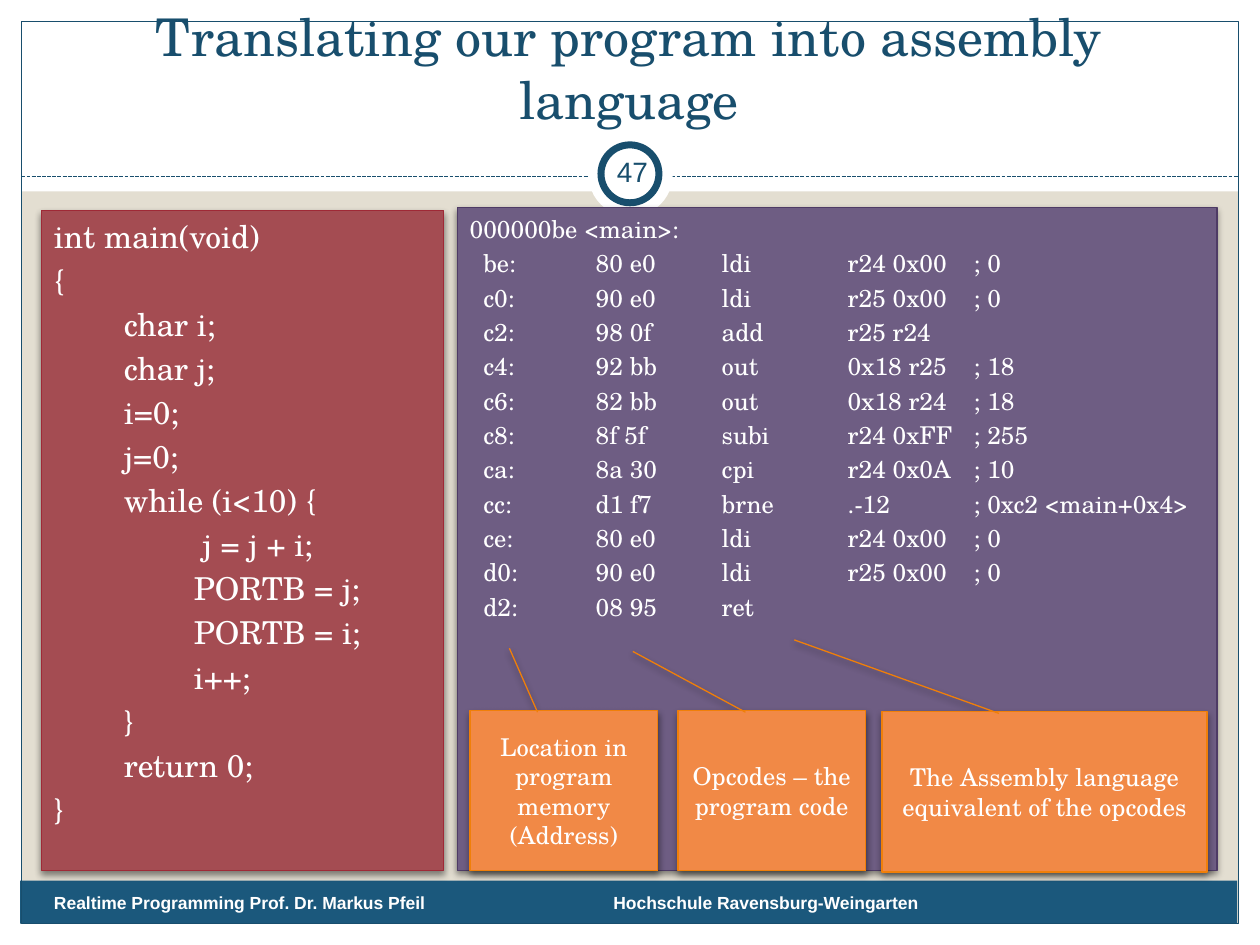
import dataclasses
import lxml.etree
import pptx
import pptx.dml.color
import pptx.enum.dml
import pptx.enum.shapes
import pptx.enum.text
import pptx.oxml.ns
import pptx.util

Inches = pptx.util.Inches
Shape = pptx.enum.shapes.MSO_SHAPE
Align = pptx.enum.text.PP_ALIGN
Anchor = pptx.enum.text.MSO_ANCHOR
qn = pptx.oxml.ns.qn


@dataclasses.dataclass(frozen=True)
class Theme:
    serif: str = "TeX Gyre Schola"
    sans: str = "Arial"
    paper: str = "E3DED1"
    white: str = "FFFFFF"
    navy: str = "184E6D"
    bar: str = "1B587C"
    red: str = "A44C52"
    rim: str = "9F2936"
    plum: str = "6E5D83"
    edge: str = "4E3B65"
    orange: str = "F18946"
    flame: str = "F07F09"
    title: float = 29.7
    code: float = 18
    num: float = 16
    small: float = 14
    foot: float = 10


def rgb(code):
    return pptx.dml.color.RGBColor.from_string(code)


@dataclasses.dataclass
class Deck:
    theme: Theme
    slide: object

    def shape(self, kind, box, fill=None, line=None, width=0.75, shade=False):
        item = self.slide.shapes.add_shape(kind, *map(Inches, box))
        item.shadow.inherit = False
        if fill:
            item.fill.solid()
            item.fill.fore_color.rgb = rgb(fill)
        else:
            item.fill.background()
        if line:
            item.line.color.rgb = rgb(line)
            item.line.width = pptx.util.Pt(width)
        else:
            item.line.fill.background()
        if shade:
            self.shade(item)
        return item

    def shade(self, item):
        make = lxml.etree.SubElement
        pt = pptx.util.Pt
        cast = make(item.element.spPr.find(qn("a:effectLst")), qn("a:outerShdw"),
                    blurRad=str(pt(4)), dist=str(pt(2)), dir="5400000",
                    rotWithShape="0")
        tone = make(cast, qn("a:srgbClr"), val="000000")
        make(tone, qn("a:alpha"), val="45000")

    def dash(self, start, end):
        line = self.slide.shapes.add_connector(
            pptx.enum.shapes.MSO_CONNECTOR.STRAIGHT,
            *map(Inches, start + end))
        line.line.color.rgb = rgb(self.theme.navy)
        line.line.width = pptx.util.Pt(0.75)
        line.line.dash_style = pptx.enum.dml.MSO_LINE.SQUARE_DOT
        lxml.etree.SubElement(line.element.spPr, qn("a:effectLst"))

    def text(self, box, words, size, **look):
        item = self.slide.shapes.add_textbox(*map(Inches, box))
        self.label(item, [words], size, **look)
        return item

    def label(self, item, lines, size, font=None, color=None, bold=False,
              align=Align.LEFT, anchor=Anchor.TOP, gap=0, tabs=()):
        frame = item.text_frame
        frame.word_wrap = True
        frame.vertical_anchor = anchor
        for i, words in enumerate(lines):
            para = frame.add_paragraph() if i else frame.paragraphs[0]
            para.alignment = align
            para.space_before = pptx.util.Pt(gap if i else 0)
            if tabs:
                stops = lxml.etree.SubElement(
                    para._p.get_or_add_pPr(), qn("a:tabLst"))
                for stop in tabs:
                    lxml.etree.SubElement(stops, qn("a:tab"),
                                          pos=str(Inches(stop)), algn="l")
            run = para.add_run()
            run.text = words
            run.font.name = font or self.theme.serif
            run.font.size = pptx.util.Pt(size)
            run.font.bold = bold
            run.font.color.rgb = rgb(color or self.theme.white)

    def panel(self, box, lines, size, fill, line, tabs=()):
        item = self.shape(Shape.RECTANGLE, box, fill, line, shade=True)
        self.label(item, lines, size, gap=size * 0.2, tabs=tabs)

    def callout(self, box, words, tip):
        item = self.shape(Shape.LINE_CALLOUT_1, box, self.theme.orange,
                          self.theme.flame, shade=True)
        for i, value in enumerate((0.01, 0.36) + tip):
            item.adjustments[i] = value
        self.label(item, [words], self.theme.small,
                   align=Align.CENTER, anchor=Anchor.MIDDLE)


SOURCE = """int main(void)
{
        char i;
        char j;
        i=0;
        j=0;
        while (i<10) {
                 j = j + i;
                PORTB = j;
                PORTB = i;
                i++;
        }
        return 0;
}"""

ROWS = [
    ("be:", "80 e0", "ldi", "r24 0x00", "; 0"),
    ("c0:", "90 e0", "ldi", "r25 0x00", "; 0"),
    ("c2:", "98 0f", "add", "r25 r24"),
    ("c4:", "92 bb", "out", "0x18 r25", "; 18"),
    ("c6:", "82 bb", "out", "0x18 r24", "; 18"),
    ("c8:", "8f 5f", "subi", "r24 0xFF", "; 255"),
    ("ca:", "8a 30", "cpi", "r24 0x0A", "; 10"),
    ("cc:", "d1 f7", "brne", ".-12", "; 0xc2 <main+0x4>"),
    ("ce:", "80 e0", "ldi", "r24 0x00", "; 0"),
    ("d0:", "90 e0", "ldi", "r25 0x00", "; 0"),
    ("d2:", "08 95", "ret"),
]

NOTES = [
    ((3.73, 5.64, 1.49, 1.27), "Location in program memory (Address)",
     (-0.39, 0.21)),
    ((5.38, 5.64, 1.49, 1.27), "Opcodes – the program code",
     (-0.37, -0.24)),
    ((7, 5.65, 2.58, 1.27), "The Assembly language equivalent of the opcodes",
     (-0.45, -0.27)),
]


def main():
    show = pptx.Presentation()
    show.slide_width, show.slide_height = Inches(10), Inches(7.5)
    theme = Theme()
    deck = Deck(theme, show.slides.add_slide(show.slide_layouts[6]))

    # Background, margins and frame
    back = deck.slide.background.fill
    back.solid()
    back.fore_color.rgb = rgb(theme.paper)
    for box in ((0, 7.33, 10, 0.17), (0, 0, 10, 1.52),
                (0, 0, 0.17, 7.5), (9.83, 0, 0.17, 7.5)):
        deck.shape(Shape.RECTANGLE, box, theme.white)
    deck.shape(Shape.RECTANGLE, (0.16, 6.99, 9.66, 0.34), theme.bar)
    deck.shape(Shape.RECTANGLE, (0.17, 0.17, 9.66, 7.16), line=theme.navy)
    deck.dash((0.17, 1.4), (9.83, 1.4))

    # Number badge
    deck.shape(Shape.OVAL, (4.67, 1.05, 0.67, 0.67), theme.white)
    deck.shape(Shape.OVAL, (4.77, 1.15, 0.46, 0.46), theme.white, theme.navy, 4)
    badge = deck.text((4.77, 1.12, 0.5, 0.48), "47", theme.num,
                      font=theme.sans, color=theme.navy,
                      align=Align.CENTER, anchor=Anchor.MIDDLE)
    badge.text_frame.margin_left = badge.text_frame.margin_right = Inches(0.05)

    # Title and footer
    deck.text((0.33, 0.25, 9.33, 0.83),
              "Translating our program into assembly language", theme.title,
              color=theme.navy, align=Align.CENTER, anchor=Anchor.BOTTOM)
    deck.text((0.33, 7.03, 3.92, 0.27),
              "Realtime Programming Prof. Dr. Markus Pfeil", theme.foot,
              font=theme.sans, bold=True)
    school = deck.text((4.77, 7.08, 3.29, 0.22), "Hochschule Ravensburg-Weingarten",
                       theme.foot, font=theme.sans, bold=True)
    school.text_frame.paragraphs[0].line_spacing = 0.65

    # Assembly listing and C source
    lines = ["000000be <main>:"] + ["  " + "\t".join(row) for row in ROWS]
    deck.panel((3.63, 1.65, 6.03, 5.26), lines, theme.small,
               theme.plum, theme.edge, tabs=(1, 2, 3, 4))
    deck.panel((0.33, 1.67, 3.19, 5.24), SOURCE.split("\n"), theme.code,
               theme.red, theme.rim)

    # Callouts under the listing columns
    for note in NOTES:
        deck.callout(*note)

    show.save("out.pptx")


if __name__ == "__main__":
    main()
